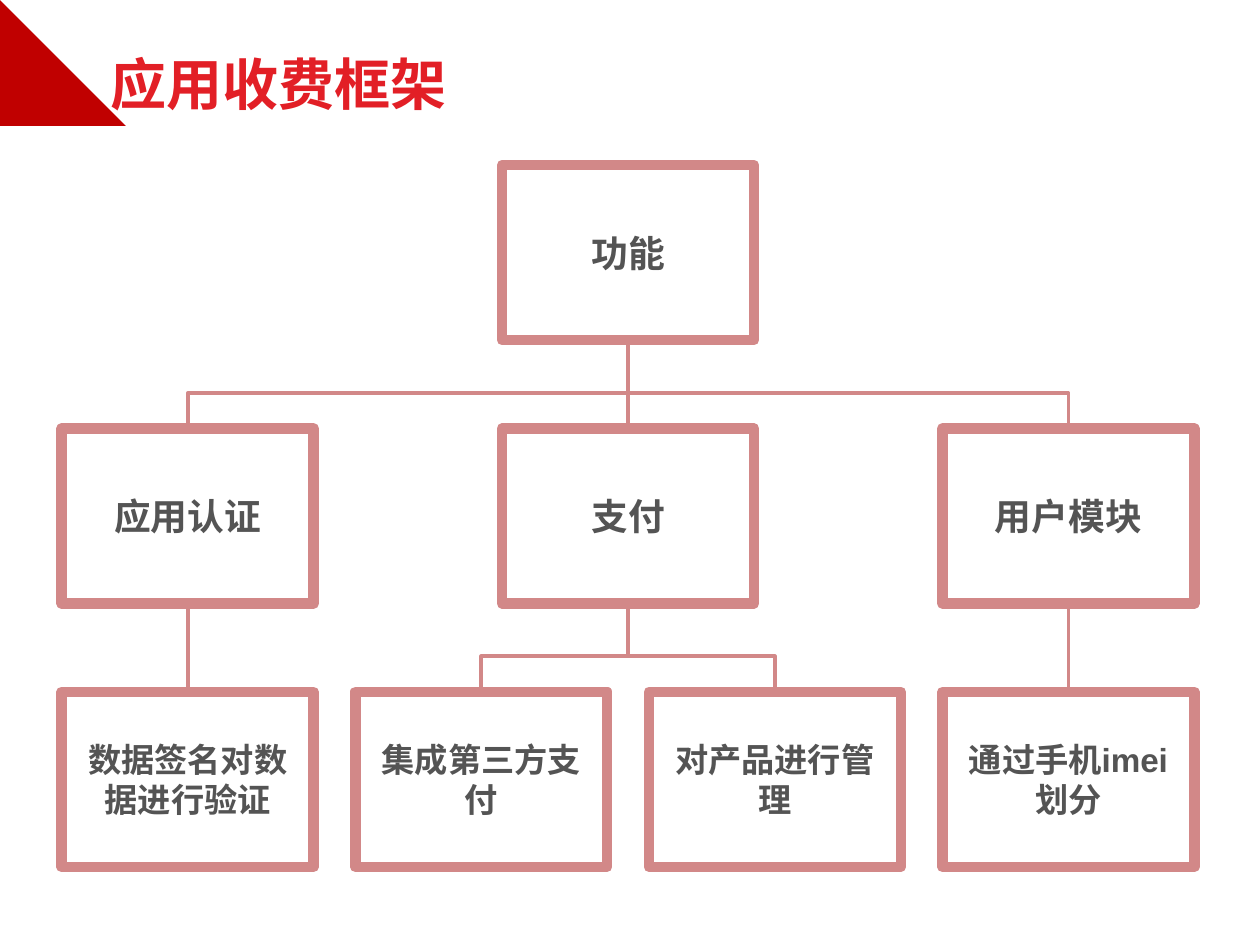
import pptx
import pptx.dml.color
import pptx.enum.shapes
import pptx.enum.text
import pptx.oxml
import pptx.oxml.ns
import pptx.util

Inches = pptx.util.Inches
Color = pptx.dml.color.RGBColor
Align = pptx.enum.text.PP_ALIGN
Anchor = pptx.enum.text.MSO_ANCHOR
Connector = pptx.enum.shapes.MSO_CONNECTOR
qn = pptx.oxml.ns.qn

WHITE = Color(0xFF, 0xFF, 0xFF)
DARK_RED = Color(0xC0, 0x00, 0x00)
TITLE_RED = Color(0xE2, 0x1F, 0x26)
PINK = Color(0xD2, 0x88, 0x88)
GRAY = Color(0x54, 0x54, 0x54)

TITLE = "应用收费框架"
CORNER = [(0, 0), (0.58, 0.62), (0.32, 1.12), (0, 1.12)]
# label, parent, column, row
NODES = [
    ("功能", None, 1.5, 0),
    ("应用认证", "功能", 0, 1),
    ("支付", "功能", 1.5, 1),
    ("用户模块", "功能", 3, 1),
    ("数据签名对数据进行验证", "应用认证", 0, 2),
    ("集成第三方支付", "支付", 1, 2),
    ("对产品进行管理", "支付", 2, 2),
    ("通过手机imei划分", "用户模块", 3, 2),
]
ROW_SIZES = [21, 21, 19]
LEFT, TOP = 0.49, 1.31
COLUMN_STEP, ROW_STEP = 2.33, 2.09
BOX_WIDTH, BOX_HEIGHT = 2, 1.39


def write(shape, text, *, size, color, font, align, anchor, spacing=1.0):
    frame = shape.text_frame
    frame.word_wrap = True
    frame.auto_size = pptx.enum.text.MSO_AUTO_SIZE.NONE
    frame.vertical_anchor = anchor
    para = frame.paragraphs[0]
    para.alignment = align
    para.line_spacing = spacing
    span = para.add_run()
    span.text = text
    span.font.size = pptx.util.Pt(size)
    span.font.bold = True
    span.font.name = font
    span.font.color.rgb = color
    east_asian = pptx.oxml.parse_xml(
        f'<a:ea {pptx.oxml.ns.nsdecls("a")} typeface="Noto Sans CJK SC"/>')
    span.font._element.find(qn("a:latin")).addnext(east_asian)


def add_box(page, label, column, row):
    box = page.shapes.add_shape(
        pptx.enum.shapes.MSO_SHAPE.RECTANGLE,
        Inches(LEFT + column * COLUMN_STEP), Inches(TOP + row * ROW_STEP),
        Inches(BOX_WIDTH), Inches(BOX_HEIGHT))
    box.shadow.inherit = False
    box.fill.solid()
    box.fill.fore_color.rgb = WHITE
    box.line.color.rgb = PINK
    box.line.width = pptx.util.Pt(6)
    write(box, label, size=ROW_SIZES[row], color=GRAY, font="Arial",
          align=Align.CENTER, anchor=Anchor.MIDDLE)
    return box


def link(page, child, parent):
    child_x = child.left + child.width // 2
    parent_x = parent.left + parent.width // 2
    bottom, top = child.top, parent.top + parent.height
    if child_x == parent_x:
        line = page.shapes.add_connector(
            Connector.STRAIGHT, child_x, bottom, parent_x, top)
    else:
        middle_x, middle_y = (child_x + parent_x) // 2, (bottom + top) // 2
        half_rise = (bottom - top) // 2
        half_run = abs(child_x - parent_x) // 2
        on_left = child_x < parent_x
        side = half_rise if on_left else -half_rise
        line = page.shapes.add_connector(
            Connector.ELBOW, middle_x + side, middle_y + half_run,
            middle_x - side, middle_y - half_run)
        properties = line._element.spPr
        properties.find(qn("a:xfrm")).set("rot", "5400000" if on_left else "16200000")
        guide = pptx.oxml.parse_xml(
            f'<a:gd {pptx.oxml.ns.nsdecls("a")} name="adj1" fmla="val 40000"/>')
        properties.find(qn("a:prstGeom")).find(qn("a:avLst")).append(guide)
    line.line.color.rgb = PINK
    line.line.width = pptx.util.Pt(2.25)
    line._element.spPr.append(pptx.oxml.parse_xml(
        f'<a:effectLst {pptx.oxml.ns.nsdecls("a")}/>'))


def main():
    deck = pptx.Presentation()
    deck.slide_width, deck.slide_height = Inches(10), Inches(7.5)
    page = deck.slides.add_slide(deck.slide_layouts[5])

    builder = page.shapes.build_freeform(*CORNER[0], scale=Inches(1))
    builder.add_line_segments(CORNER[1:], close=True)
    corner = builder.convert_to_shape()
    corner.shadow.inherit = False
    corner.fill.solid()
    corner.fill.fore_color.rgb = DARK_RED
    corner.line.fill.background()

    title = page.shapes.title
    title.left, title.top = Inches(0.78), Inches(0.11)
    title.width, title.height = Inches(8.69), Inches(0.87)
    write(title, TITLE, size=32, color=TITLE_RED, font="Noto Sans CJK SC",
          align=Align.LEFT, anchor=Anchor.BOTTOM, spacing=0.9)

    boxes = {}
    for label, parent, column, row in NODES:
        boxes[label] = add_box(page, label, column, row)
        if parent:
            link(page, boxes[label], boxes[parent])

    deck.save("out.pptx")


if __name__ == "__main__":
    main()
